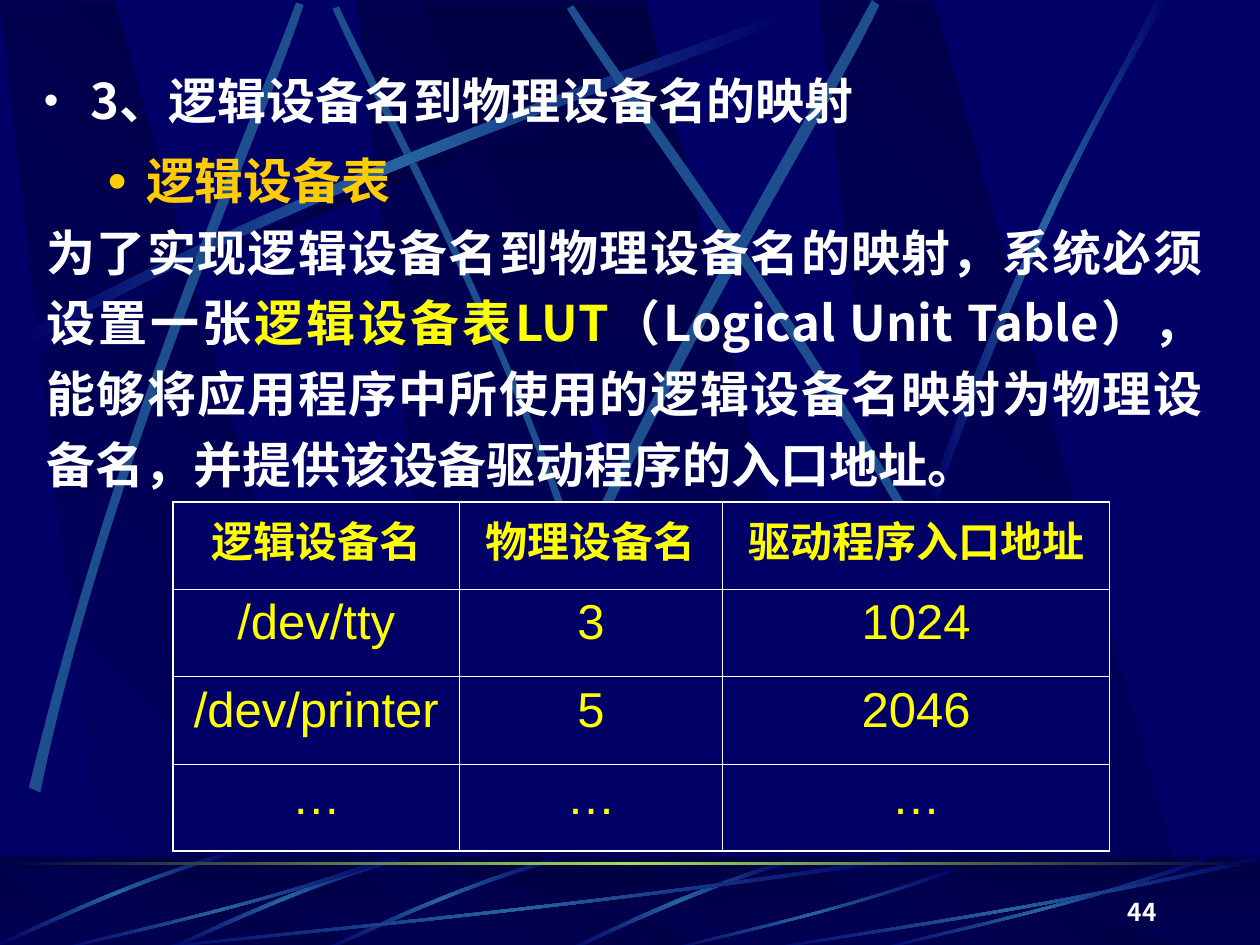
from dataclasses import dataclass
from lxml import etree
from pptx import Presentation
from pptx.dml.color import RGBColor
from pptx.enum.shapes import MSO_SHAPE
from pptx.enum.text import MSO_ANCHOR, MSO_AUTO_SIZE, PP_ALIGN
from pptx.oxml import parse_xml
from pptx.oxml.ns import nsdecls, qn
from pptx.util import Cm, Pt


@dataclass(frozen=True)
class Theme:
    navy: str = "000066"
    night: str = "000044"
    streak: str = "2663A0"
    dim_streak: str = "1D4F8F"
    rule: str = "9CE157"
    white: str = "FFFFFF"
    gold: str = "FFCC00"
    yellow: str = "FFFF00"
    font: str = "Noto Sans CJK SC"
    table_font: str = "Arial"
    body_size: int = 28
    header_size: int = 24
    number_size: int = 14


theme = Theme()
UNIT = Cm(2.54) / 100  # the background art is drawn on a grid of 1000 x 750


def add_text(paragraph, text, color=theme.white, size=theme.body_size,
             bold=True, font=theme.font, align=None):
    if align is not None:
        paragraph.alignment = align
    run = paragraph.add_run()
    run.text = text
    run.font.size, run.font.bold, run.font.name = Pt(size), bold, font
    run.font.color.rgb = RGBColor.from_string(color)
    east_asian = etree.SubElement(run.font._element, qn("a:ea"))
    east_asian.set("typeface", theme.font)


def paint(shape, colors, angle=0, alpha=100):
    """Fill with evenly spaced gradient colours, clockwise angle, no outline."""
    shape.shadow.inherit = False
    shape.line.fill.background()
    if len(colors) == 1:
        fill = (f'<a:solidFill {nsdecls("a")}><a:srgbClr val="{colors[0]}">'
                f'<a:alpha val="{alpha * 1000}"/></a:srgbClr></a:solidFill>')
    else:
        step = 100000 // (len(colors) - 1)
        stops = "".join(f'<a:gs pos="{i * step}"><a:srgbClr val="{color}"/></a:gs>'
                        for i, color in enumerate(colors))
        fill = (f'<a:gradFill {nsdecls("a")} rotWithShape="1"><a:gsLst>{stops}</a:gsLst>'
                f'<a:lin ang="{angle * 60000}" scaled="0"/></a:gradFill>')
    outline = shape._element.spPr.find(qn("a:ln"))
    outline.addprevious(parse_xml(fill))


presentation = Presentation()
presentation.slide_width, presentation.slide_height = Cm(25.4), Cm(19.05)
slide = presentation.slides.add_slide(presentation.slide_layouts[1])
shapes = slide.shapes
background = slide.background.fill
background.solid()
background.fore_color.rgb = RGBColor.from_string(theme.navy)

# Each streak is two cubic curves: down one edge and back along the other.
fade = [theme.navy, theme.streak, theme.navy]
dim = [theme.dim_streak]
upper_streaks = [
    ([(20, 275), (284, 134), (524, 59), (626, 18), (629, 24), (528, 69), (254, 151), (23, 285)],
     [theme.navy, theme.night, theme.navy]),
    ([(460, 436), (391, 234), (302, 77), (269, 5), (264, 7), (295, 79), (398, 258), (454, 439)], dim),
    ([(14, 267), (278, 125), (518, 51), (620, 10), (623, 16), (522, 61), (248, 143), (17, 277)], fade),
    ([(23, 625), (93, 334), (197, 105), (235, 2), (241, 4), (207, 108), (86, 368), (32, 629)], dim),
    ([(385, 614), (498, 320), (638, 102), (692, 0), (698, 4), (649, 108), (486, 355), (394, 621)], dim),
    ([(806, 560), (670, 293), (516, 95), (455, 4), (450, 7), (507, 101), (685, 325), (799, 566)], dim),
    ([(738, 393), (814, 173), (888, 66), (917, 0), (927, 0), (836, 145), (769, 322), (744, 397)], fade),
]
lower_streaks = [
    ([(627, 682), (537, 709), (477, 742), (448, 754), (453, 755), (490, 737), (571, 700), (628, 685)], fade),
]
dash = [(442, 680), (355, 705), (287, 740), (256, 753), (257, 755), (288, 743), (365, 703), (444, 683)]
for shift_x, shift_y in [(0, 0), (-125, 0), (-257, -5)]:
    lower_streaks.append(([(x + shift_x, y + shift_y) for x, y in dash], fade))
sweep = [(1, .04), (.57, .57), (.17, .85), (0.01, 1), (0, .99), (.17, .81), (.62, .51), (.99, 0)]
for left, top, width in [(100, 680, 617), (42, 680, 267), (527, 689, 231),
                         (692, 680, 267), (600, 680, 400)]:
    lower_streaks.append(([(left + x * width, top + y * (755 - top)) for x, y in sweep], fade))

for top, bottom, streaks in [(1, 752, upper_streaks), (688, 755, lower_streaks)]:
    is_footer = streaks is lower_streaks
    if is_footer:
        band = shapes.add_shape(MSO_SHAPE.RECTANGLE, 0, Cm(17.27), Cm(25.4), Cm(1.9))
        paint(band, [theme.night, theme.navy], angle=90)

    outlines = []
    for left in (283, 0, 650):
        slab = [(left + 86, bottom), (left + 302, bottom), (left + 91, top), (left, top)]
        outlines.append((slab, [theme.navy, theme.night], 315))
    beam = [(333, top), (658, bottom), (694, bottom), (513, top)]
    outlines.append((beam, [theme.night, theme.navy], 90))
    slab_count = len(outlines)
    outlines += [(curve, colors, 0) for curve, colors in streaks]

    for index, (outline, colors, angle) in enumerate(outlines):
        if is_footer and index == slab_count:
            veil = shapes.add_shape(MSO_SHAPE.RECTANGLE, 0, Cm(17.25), Cm(25.4), Cm(1.9))
            paint(veil, [theme.night], alpha=50)
        points = [(x * UNIT, y * UNIT) for x, y in outline]
        builder = shapes.build_freeform(*points[0])
        builder.add_line_segments(points[1:], close=True)
        freeform = builder.convert_to_shape()
        if index >= slab_count:
            # Points 1-3 and 5-7 become the control points of the two curves.
            segments = list(freeform._element.iter(qn("a:lnTo")))
            for first in (0, 4):
                curve = etree.Element(qn("a:cubicBezTo"))
                segments[first].addprevious(curve)
                for segment in segments[first:first + 3]:
                    curve.append(segment[0])
                    segment.getparent().remove(segment)
        paint(freeform, colors, angle)

rule = shapes.add_shape(MSO_SHAPE.RECTANGLE, 0, Cm(17.37), Cm(25.4), Cm(0.06))
paint(rule, [theme.night, theme.rule, theme.night])

# Explanation
explanation = shapes.add_textbox(Cm(0.69), Cm(4.12), Cm(23.8), Cm(5.94)).text_frame
explanation.word_wrap = True
paragraph = explanation.paragraphs[0]
paragraph.line_spacing = 1.2
paragraph._element.get_or_add_pPr().set("hangingPunct", "0")
for text, color in [
    ("为了实现逻辑设备名到物理设备名的映射，系统必须设置一张", theme.white),
    ("逻辑设备表LUT", theme.yellow),
    ("（Logical Unit Table），能够将应用程序中所使用的逻辑设备名映射为物理设备名，"
     "并提供该设备驱动程序的入口地址。", theme.white),
]:
    add_text(paragraph, text, color=color, align=PP_ALIGN.JUSTIFY)

# Heading list, in front of the background art
title = shapes.title._element
title.getparent().remove(title)
body = slide.placeholders[1]
body._element.getparent().append(body._element)
body.left, body.top, body.width, body.height = Cm(0.63), Cm(1.12), Cm(24.77), Cm(4.55)
body.text_frame.auto_size = MSO_AUTO_SIZE.NONE
for level, (text, color, bullet, percent, margin, hanging) in enumerate([
    ("3、逻辑设备名到物理设备名的映射", theme.white, "•", 85, Cm(0.95), Cm(0.95)),
    ("逻辑设备表", theme.gold, "●", 70, Cm(2.06), Cm(0.79)),
]):
    paragraph = body.text_frame.add_paragraph() if level else body.text_frame.paragraphs[0]
    paragraph.level = level
    paragraph.line_spacing = 1.15
    paragraph.space_before = Pt(7 * level)
    properties = paragraph._element.get_or_add_pPr()
    properties.set("marL", str(margin))
    properties.set("indent", str(-hanging))
    bullet_color = etree.SubElement(properties, qn("a:buClr"))
    etree.SubElement(bullet_color, qn("a:srgbClr")).set("val", color)
    etree.SubElement(properties, qn("a:buSzPct")).set("val", str(percent * 1000))
    etree.SubElement(properties, qn("a:buChar")).set("char", bullet)
    add_text(paragraph, text, color=color)

# Logical unit table
rows = [
    ("逻辑设备名", "物理设备名", "驱动程序入口地址"),
    ("/dev/tty", "3", "1024"),
    ("/dev/printer", "5", "2046"),
    ("…", "…", "…"),
]
widths = [Cm(5.77), Cm(5.31), Cm(7.8)]
table = shapes.add_table(len(rows), len(widths), Cm(3.49), Cm(10.12), sum(widths), Cm(7.04)).table
for column, width in zip(table.columns, widths):
    column.width = width
for r, values in enumerate(rows):
    for c, value in enumerate(values):
        cell = table.cell(r, c)
        add_text(cell.text_frame.paragraphs[0], value, color=theme.yellow, bold=r == 0,
                 size=theme.body_size if r else theme.header_size,
                 font=theme.table_font, align=PP_ALIGN.CENTER)
        edges = {"L": c == 0, "R": c == len(widths) - 1, "T": r == 0, "B": r == len(rows) - 1}
        for side, is_outer in edges.items():
            border = etree.SubElement(cell._tc.get_or_add_tcPr(), qn(f"a:ln{side}"))
            border.set("w", str(Pt(1.08 if is_outer else 0.45)))
            line_fill = etree.SubElement(border, qn("a:solidFill"))
            etree.SubElement(line_fill, qn("a:srgbClr")).set("val", theme.white)
        cell.fill.solid()
        cell.fill.fore_color.rgb = RGBColor.from_string(theme.navy)

# Slide number
number = shapes.add_textbox(Cm(18.29), Cm(17.53), Cm(5.28), Cm(1.27)).text_frame
number.word_wrap = True
number.vertical_anchor = MSO_ANCHOR.BOTTOM
add_text(number.paragraphs[0], "44", size=theme.number_size, align=PP_ALIGN.RIGHT)

presentation.save("out.pptx")
